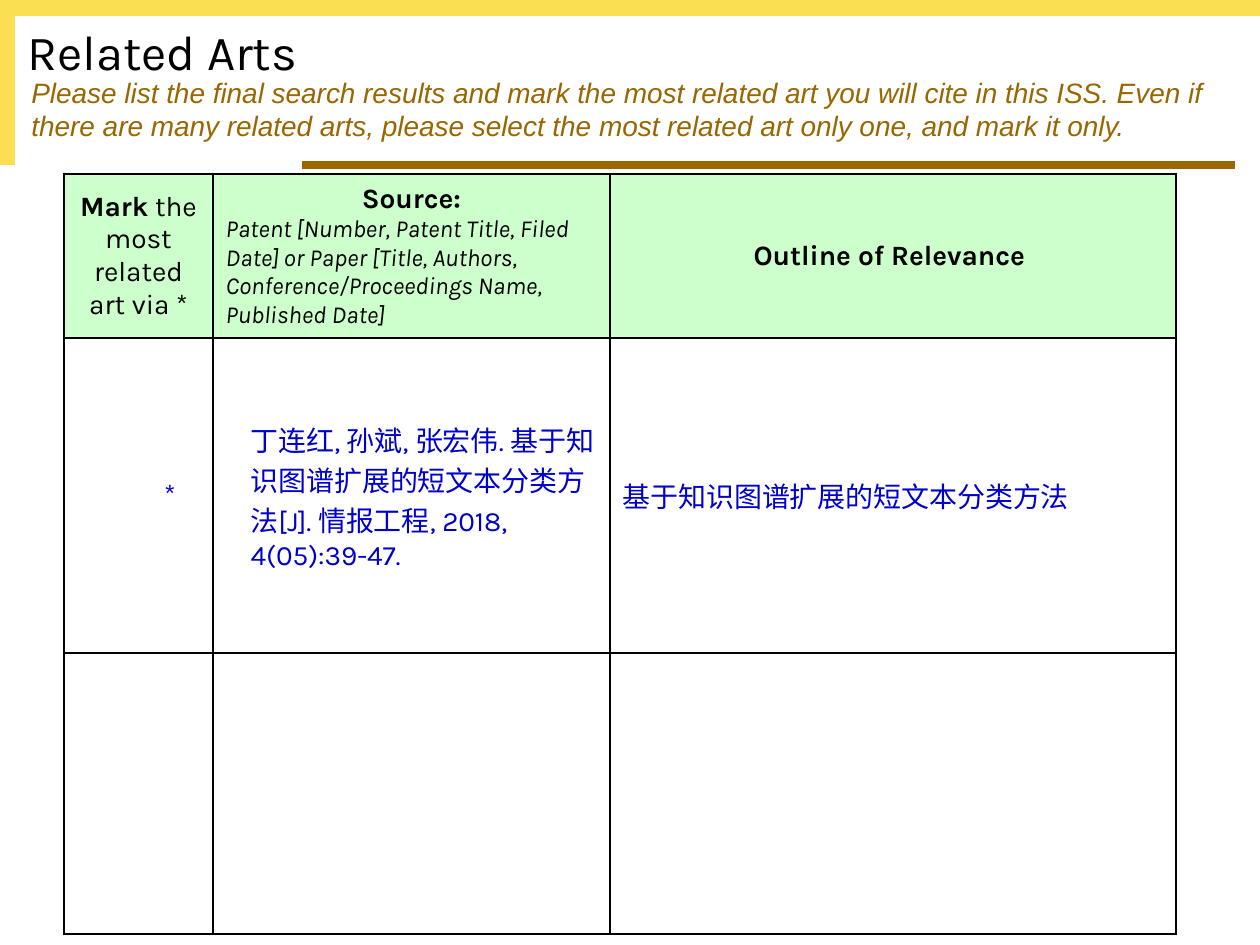
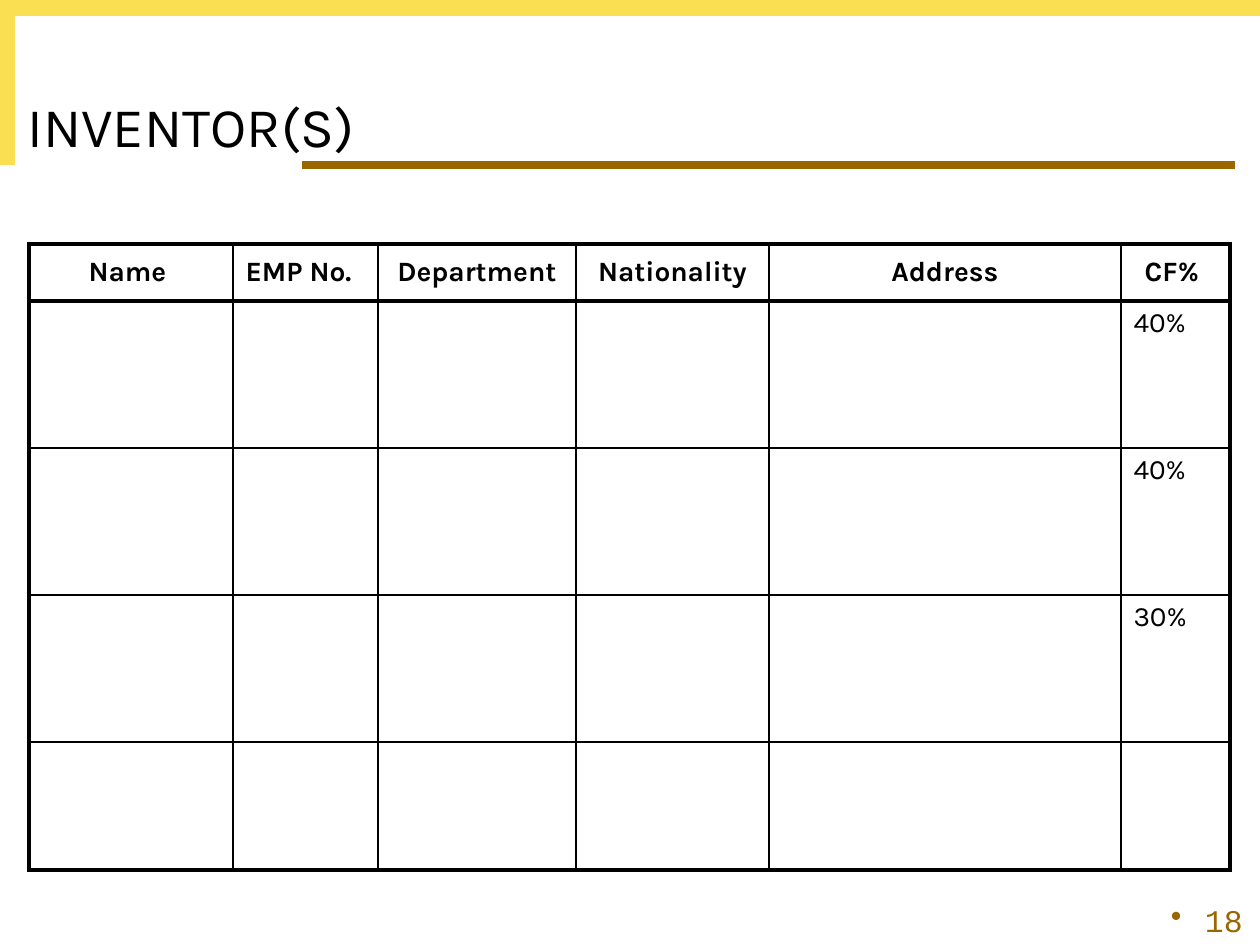
from lxml import etree
from pptx import Presentation
from pptx.dml.color import RGBColor
from pptx.enum.shapes import MSO_CONNECTOR, MSO_SHAPE
from pptx.enum.text import MSO_ANCHOR, PP_ALIGN
from pptx.oxml.ns import qn
from pptx.util import Emu, Pt

RECTANGLE = MSO_SHAPE.RECTANGLE
STRAIGHT = MSO_CONNECTOR.STRAIGHT
TOP, MIDDLE, BOTTOM = MSO_ANCHOR.TOP, MSO_ANCHOR.MIDDLE, MSO_ANCHOR.BOTTOM
LEFT, CENTER, RIGHT = PP_ALIGN.LEFT, PP_ALIGN.CENTER, PP_ALIGN.RIGHT

PX_PER_INCH = 126
COLORS = {"band": "FBDF53", "accent": "996600", "ink": "000000",
          "header": "CCFFCC", "entry": "0000CC"}


def px(length):
    return Emu(round(length * 914400 / PX_PER_INCH))


def rgb(name):
    return RGBColor.from_string(COLORS[name])


class Deck:
    """Holds the shared style and the current page."""

    def __init__(self):
        self.deck = Presentation()
        self.deck.slide_width, self.deck.slide_height = px(1260), px(945)
        self.page = None

    def add_page(self, title, title_box, title_size):
        self.page = self.deck.slides.add_slide(self.deck.slide_layouts[6])
        self.band(0, 0, 1260, 16)
        self.band(0, 0, 15, 165)
        self.rule(302, 165, 1235)
        self.text(title, title_box, title_size, anchor=BOTTOM)

    def band(self, *place):
        bar = self.page.shapes.add_shape(RECTANGLE, *map(px, place))
        bar.shadow.inherit = False
        bar.fill.solid()
        bar.fill.fore_color.rgb = rgb("band")
        bar.line.fill.background()

    def rule(self, start, y, end):
        line = self.page.shapes.add_connector(STRAIGHT, px(start), px(y), px(end), px(y))
        line.line.color.rgb = rgb("accent")
        line.line.width = Pt(4.5)
        etree.SubElement(line._element.spPr, qn("a:effectLst"))

    def text(self, words, place, size, anchor=TOP, **style):
        box = self.page.shapes.add_textbox(*map(px, place))
        box.text_frame.word_wrap = True
        box.text_frame.vertical_anchor = anchor
        return self.paragraph(box.text_frame.paragraphs[0], words, size, **style)

    def paragraph(self, para, words, size=16, font="Karla", color="ink", align=LEFT,
                  bold=False, italic=False, indent=0, lead=""):
        """Write one paragraph; lead is a bold opening span."""
        if lead:
            span = para.add_run()
            span.text = lead
            span.font.bold = True
        para.add_run().text = words
        para.alignment = align
        para.font.name, para.font.size = font, Pt(size)
        para.font.bold, para.font.italic = bold, italic
        para.font.color.rgb = rgb(color)
        if indent:
            para._p.get_or_add_pPr().set("marL", str(px(indent)))
        return para

    def page_number(self, number):
        para = self.text(number, (961, 900, 294, 45), 18, BOTTOM,
                         font="Courier New", color="accent", align=RIGHT, indent=34)
        properties = para._p.pPr
        properties.set("indent", str(-px(34)))
        bullet = etree.Element(qn("a:buChar"), char="•")
        properties.find(qn("a:defRPr")).addprevious(bullet)

    def table(self, left, top, widths, heights):
        frame = self.page.shapes.add_table(len(heights), len(widths), px(left), px(top),
                                           px(sum(widths)), px(sum(heights)))
        grid = frame.table
        grid.first_row = grid.horz_banding = False
        for column, width in zip(grid.columns, widths):
            column.width = px(width)
        for row, height in zip(grid.rows, heights):
            row.height = px(height)
        for cell in grid.iter_cells():
            cell.fill.background()
        return grid

    def cell(self, cell, *paragraphs, anchor=MIDDLE, fill=None):
        cell.vertical_anchor = anchor
        if fill:
            cell.fill.solid()
            cell.fill.fore_color.rgb = rgb(fill)
        frame = cell.text_frame
        for index, (words, style) in enumerate(paragraphs):
            para = frame.add_paragraph() if index else frame.paragraphs[0]
            self.paragraph(para, words, **style)

    def borders(self, cell, **widths):
        """Draw cell edges, given in points in the order L, R, T, B."""
        properties = cell._tc.get_or_add_tcPr()
        for index, (side, width) in enumerate(widths.items()):
            edge = etree.Element(qn("a:ln" + side), w=str(Pt(width)))
            fill = etree.SubElement(edge, qn("a:solidFill"))
            etree.SubElement(fill, qn("a:srgbClr"), val=COLORS["ink"])
            properties.insert(index, edge)


def related_arts(deck):
    deck.add_page("Related Arts", (15, 10, 1174, 77), 28)
    grid = deck.table(64, 174, (149, 397, 566), (164, 315, 281))

    # Header row
    heading = {"align": CENTER, "bold": True}
    headers = (
        [(" the most related art via *", {"align": CENTER, "lead": "Mark"})],
        [("Source:", heading),
         ("Patent [Number, Patent Title, Filed Date] or Paper [Title, Authors, "
          "Conference/Proceedings Name, Published Date]", {"size": 14, "italic": True})],
        [("Outline of Relevance ", heading)],
    )
    for column, paragraphs in enumerate(headers):
        deck.cell(grid.cell(0, column), *paragraphs, fill="header")

    # Cited work
    entries = (
        ("*", {"align": CENTER, "indent": 63}),
        ("丁连红, 孙斌, 张宏伟. 基于知识图谱扩展的短文本分类方法[J]. "
         "情报工程, 2018, 4(05):39-47.", {"indent": 25}),
        ("基于知识图谱扩展的短文本分类方法", {}),
    )
    for column, (words, style) in enumerate(entries):
        deck.cell(grid.cell(1, column), (words, {"color": "entry", **style}))

    for cell in grid.iter_cells():
        deck.borders(cell, L=1.5, R=1.5, T=1.5, B=1.5)

    # Instructions
    deck.text("Please list the final search results and mark the most related art you will "
              "cite in this ISS. Even if there are many related arts, please select the most "
              "related art only one, and mark it only.",
              (19, 69, 1215, 81), 16, font="Arial", color="accent", italic=True)


def inventors(deck):
    deck.add_page("INVENTOR(S)", (15, 16, 1221, 149), 32)
    deck.page_number("18")
    widths = (204, 145, 198, 193, 352, 109)
    heights = (57, 147, 147, 147, 128)
    grid = deck.table(29, 244, widths, heights)

    # Header row and contribution shares
    headers = ("Name ", "EMP No.", "Department", "Nationality", "Address", "CF% ")
    for column, words in enumerate(headers):
        align = LEFT if words == "EMP No." else CENTER
        deck.cell(grid.cell(0, column), (words, {"align": align, "bold": True}))
    last_row, last_column = len(heights) - 1, len(widths) - 1
    for row, share in enumerate(("40%", "40%", "30%"), start=1):
        deck.cell(grid.cell(row, last_column), (share, {}), anchor=TOP)

    # Heavy frame and header rule, thin lines inside
    thin, heavy = 1, 2.25
    for row in range(len(heights)):
        for column in range(len(widths)):
            deck.borders(grid.cell(row, column),
                         L=heavy if column == 0 else thin,
                         R=heavy if column == last_column else thin,
                         T=heavy if row <= 1 else thin,
                         B=heavy if row in (0, last_row) else thin)


def main():
    deck = Deck()
    related_arts(deck)
    inventors(deck)
    deck.deck.save("out.pptx")


if __name__ == "__main__":
    main()
